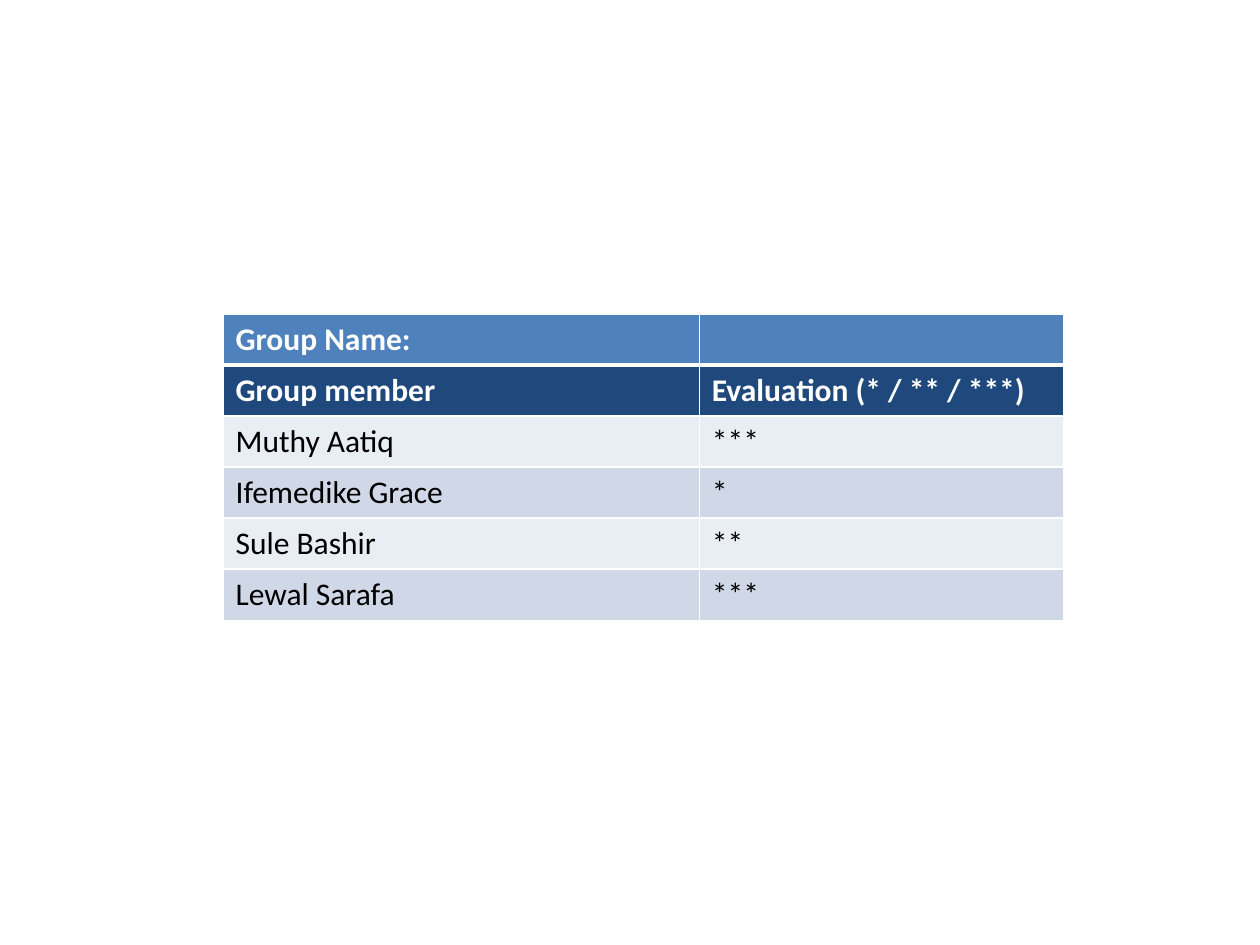
from dataclasses import dataclass

from lxml import etree
from pptx import Presentation
from pptx.dml.color import RGBColor
from pptx.oxml import ns
from pptx.util import Inches, Pt


@dataclass(frozen=True)
class Theme:
    font: str = "Calibri"
    size: int = 18
    head: str = "4F81BD"
    sub: str = "1F497D"
    bands: tuple = ("E9EDF4", "D0D8E8")
    light: str = "FFFFFF"
    dark: str = "000000"
    thin: int = 1
    thick: int = 3


THEME = Theme()
ROWS = [
    ("Group Name:", ""),
    ("Group member", "Evaluation (* / ** / ***)"),
    ("Muthy Aatiq", "***"),
    ("Ifemedike Grace", "*"),
    ("Sule Bashir", "**"),
    ("Lewal Sarafa", "***"),
]
WIDTHS = (3.78, 2.89)
HIGH = 2.43


def add_edge(cell, side, width):
    props = cell._tc.get_or_add_tcPr()
    line = etree.SubElement(props, ns.qn(f"a:ln{side}"), w=str(Pt(width)))
    fill = etree.SubElement(line, ns.qn("a:solidFill"))
    etree.SubElement(fill, ns.qn("a:srgbClr"), val=THEME.light)


def style_cell(cell, row):
    heavy = {(0, "B"), (1, "T")}
    for side in "LRTB":
        add_edge(cell, side, THEME.thick if (row, side) in heavy else THEME.thin)
    tops = (THEME.head, THEME.sub)
    color = tops[row] if row < 2 else THEME.bands[row % 2]
    cell.fill.solid()
    cell.fill.fore_color.rgb = RGBColor.from_string(color)


def write_cell(cell, words, row):
    para = cell.text_frame.paragraphs[0]
    para.font.size = Pt(THEME.size)
    if not words:
        return
    run = para.add_run()
    run.text = words
    font = run.font
    font.name = THEME.font
    font.size = Pt(THEME.size)
    font.bold = row < 2
    font.color.rgb = RGBColor.from_string(THEME.light if row < 2 else THEME.dark)


def add_grid(slide):
    frame = slide.shapes.add_table(
        len(ROWS), len(WIDTHS),
        Inches(1.77), Inches(2.49), Inches(sum(WIDTHS)), Inches(HIGH),
    )
    table = frame.table
    for col, width in zip(table.columns, WIDTHS):
        col.width = Inches(width)
    for row, items in enumerate(ROWS):
        table.rows[row].height = Inches(HIGH / len(ROWS))
        for col, words in enumerate(items):
            cell = table.cell(row, col)
            style_cell(cell, row)
            write_cell(cell, words, row)


def main():
    deck = Presentation()
    deck.slide_width = Inches(10)
    deck.slide_height = Inches(7.5)
    slide = deck.slides.add_slide(deck.slide_layouts[6])
    add_grid(slide)
    deck.save("out.pptx")


if __name__ == "__main__":
    main()
